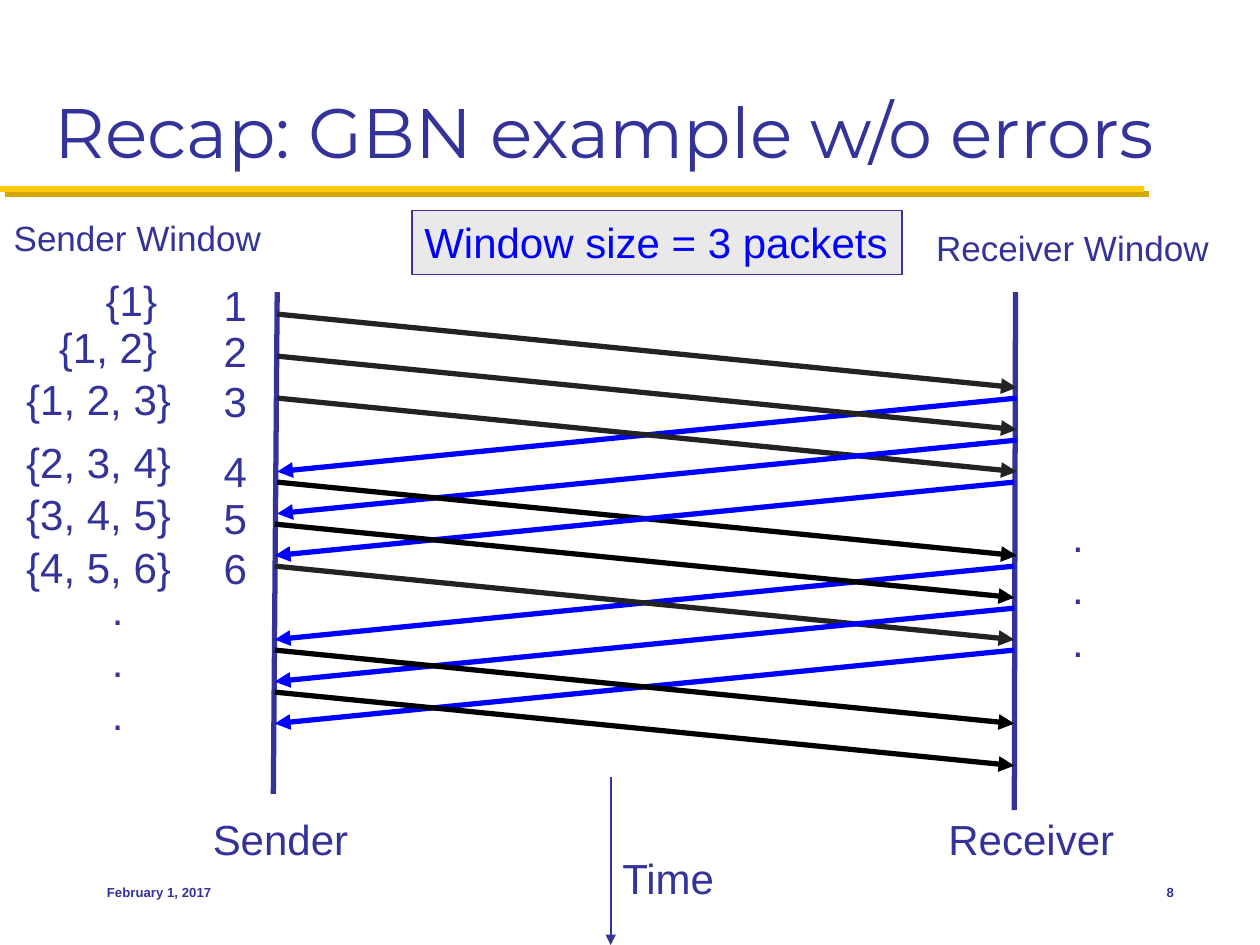
from lxml import etree
from pptx import Presentation
from pptx import util as u
from pptx.dml.color import RGBColor
from pptx.enum import shapes, text
from pptx.oxml import ns

Pt = u.Pt
NAVY = RGBColor(0x33, 0x33, 0x99)
BLUE = RGBColor(0x00, 0x00, 0xFF)
BLACK = RGBColor(0x00, 0x00, 0x00)
CHARCOAL = RGBColor(0x23, 0x23, 0x23)
GOLD = RGBColor(0xFF, 0xCB, 0x05)
DARK_GOLD = RGBColor(0xD3, 0xA6, 0x00)
PALE_GREY = RGBColor(0xE9, 0xE9, 0xE9)
LEFT, CENTER, RIGHT = text.PP_ALIGN.LEFT, text.PP_ALIGN.CENTER, text.PP_ALIGN.RIGHT
TOP, MIDDLE, BOTTOM = text.MSO_ANCHOR.TOP, text.MSO_ANCHOR.MIDDLE, text.MSO_ANCHOR.BOTTOM

prs = Presentation()
prs.slide_width, prs.slide_height = Pt(720), Pt(540)
slide = prs.slides.add_slide(prs.slide_layouts[5])


def write(words, left, top, width, height, shape=None, size=24, color=NAVY, font="Arial",
          bold=False, align=LEFT, anchor=TOP, gap=0, wrap=False):
    """Place words, one paragraph per line, in a shape or a new text box."""
    box = shape or slide.shapes.add_textbox(0, 0, 0, 0)
    box.left, box.top, box.width, box.height = Pt(left), Pt(top), Pt(width), Pt(height)
    frame = box.text_frame
    frame.text = words
    frame.word_wrap = wrap
    frame.auto_size = text.MSO_AUTO_SIZE.NONE
    frame.vertical_anchor = anchor
    frame.margin_left = frame.margin_right = Pt(7.2)
    frame.margin_top = frame.margin_bottom = Pt(3.6)
    for paragraph in frame.paragraphs:
        paragraph.alignment = align
        paragraph.space_after = Pt(gap)
        style = paragraph.runs[0].font
        style.name, style.size, style.bold = font, Pt(size), bold
        style.color.rgb = color


def draw_line(x1, y1, x2, y2, color, width=3, arrow=False):
    """Draw a straight line, with an arrowhead at its end if asked."""
    line = slide.shapes.add_connector(shapes.MSO_CONNECTOR.STRAIGHT,
                                      Pt(x1), Pt(y1), Pt(x2), Pt(y2))
    line.line.color.rgb = color
    line.line.width = Pt(width)
    if arrow:
        etree.SubElement(line.line._get_or_add_ln(), ns.qn("a:tailEnd"), type="triangle")
    etree.SubElement(line._element.spPr, ns.qn("a:effectLst"))


# Title and its shadowed rule
draw_line(3, 111, 656.8, 111, DARK_GOLD, 3.5)
draw_line(0, 108, 653.8, 108, GOLD, 3.5)
write("Recap: GBN example w/o errors", 24, 12, 672, 90, shape=slide.shapes.title,
      size=40, font="Montserrat", anchor=BOTTOM, wrap=True)

# Time axis
draw_line(349, 444, 349, 540, NAVY, 1, arrow=True)
write("Time", 348, 483.8, 67.7, 36, align=CENTER, anchor=MIDDLE)

# Window size
window_size = slide.shapes.add_shape(shapes.MSO_SHAPE.RECTANGLE, 0, 0, 0, 0)
window_size.shadow.inherit = False
window_size.fill.solid()
window_size.fill.fore_color.rgb = PALE_GREY
window_size.line.color.rgb = NAVY
window_size.line.width = Pt(0.75)
write("Window size = 3 packets", 235.4, 120.2, 280.1, 36.7, shape=window_size, color=BLUE)

# Sender and receiver timelines
draw_line(158.4, 167, 156.2, 453.6, NAVY)
draw_line(580.3, 167, 579.6, 463, NAVY)
write("Sender", 113.8, 461.5, 92.9, 36, align=CENTER, anchor=MIDDLE)
write("Receiver", 534.2, 461.5, 110.2, 36, align=CENTER, anchor=MIDDLE)
write("Sender Window", 0.7, 120.2, 164.2, 31, size=20)
write("Receiver Window", 527.8, 126, 180, 31, size=20)

# Packets go right and acknowledgements left: time step, colour, shift to the right
FIRST_SEND, STEP, TRANSIT = 179.5, 24, 42
SENDER_X, RECEIVER_X = 157, 579.6
messages = [
    (0, CHARCOAL, 1.4), (2, BLUE, 1.4), (1, CHARCOAL, 1.4), (2, CHARCOAL, 1.4),
    (3, BLUE, 1.4), (4, BLACK, 1.4), (4, BLUE, 0), (6, BLUE, 0), (5, BLACK, 0),
    (6, CHARCOAL, 0), (7, BLUE, 0), (8, BLUE, 0), (8, BLACK, 0), (9, BLACK, 0),
]
for step, color, shift in messages:
    start, end = SENDER_X + shift, RECEIVER_X + shift
    if color == BLUE:
        start, end = end, start
    y = FIRST_SEND + STEP * step
    draw_line(start, y, end, y + TRANSIT, color, arrow=True)

# Packet numbers and the sender window after each one
windows = [
    ("{1}", 53.3, 153.4, 43.9, 156.2), ("{1, 2}", 26.6, 180, 73.4, 182.5),
    ("{1, 2, 3}", 7.9, 210.2, 100.8, 211), ("{2, 3, 4}", 7.9, 246.2, 100.8, 251.3),
    ("{3, 4, 5}", 7.9, 275.8, 100.8, 277.9), ("{4, 5, 6}", 7.9, 306, 100.8, 306.7),
]
for number, (window, left, top, width, number_top) in enumerate(windows, 1):
    write(str(number), 120.7, number_top, 26.6, 35.3)
    write(window, left, top, width, 36)

# Continuation dots
for left, top in [(56.9, 329.8), (605.5, 288)]:
    write(".\n.\n.", left, top, 20.9, 94.3, gap=1.2)

# Date and slide number
write("February 1, 2017", 54, 492, 149.8, 36, size=7.5, bold=True, anchor=MIDDLE, wrap=True)
write("8", 630, 492, 48, 36, size=7.5, bold=True, align=RIGHT, anchor=MIDDLE, wrap=True)

prs.save("out.pptx")
